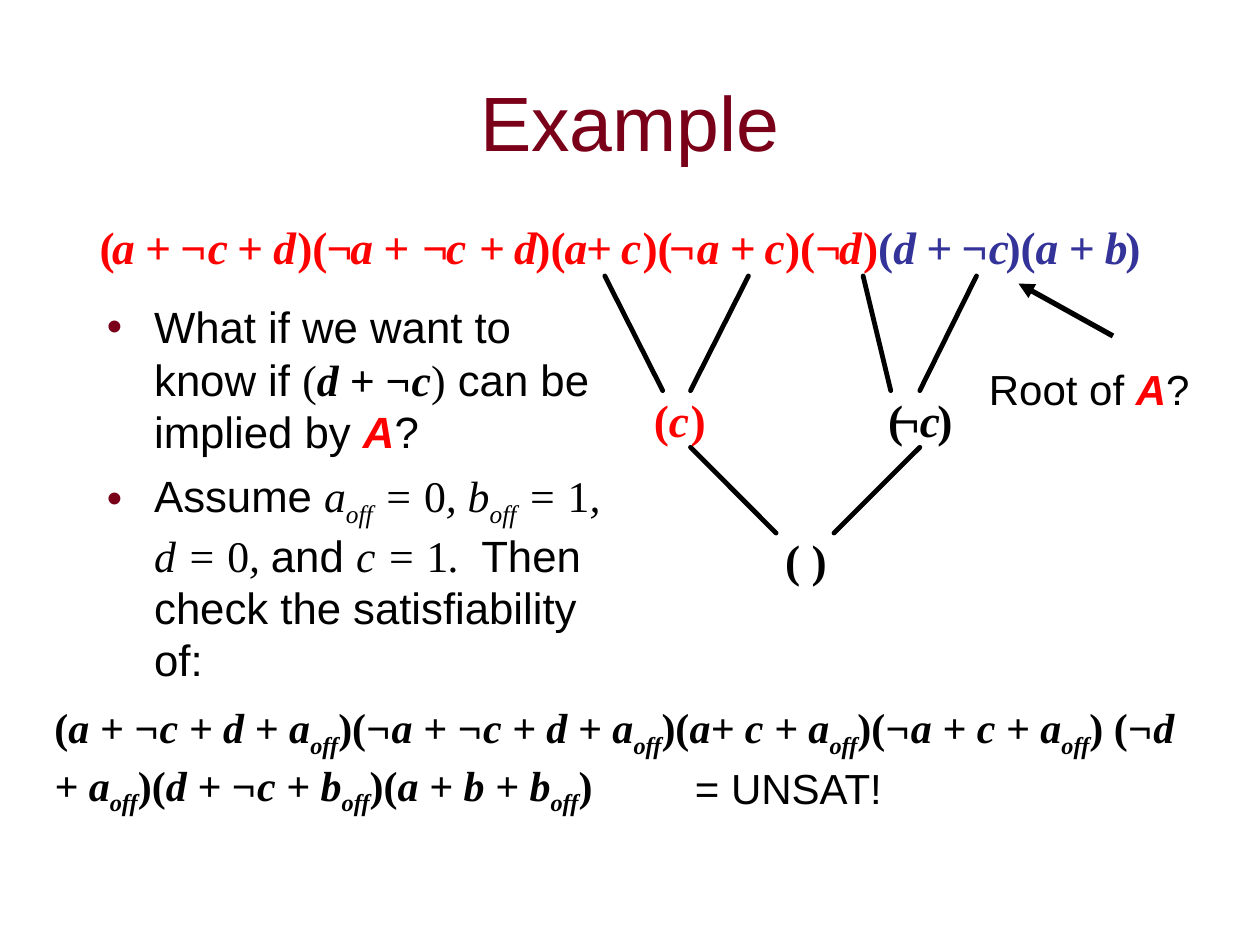
from lxml import etree
from pptx import Presentation
from pptx.dml.color import RGBColor
from pptx.enum.shapes import MSO_CONNECTOR
from pptx.enum.text import MSO_ANCHOR, MSO_AUTO_SIZE, PP_ALIGN
from pptx.oxml.ns import qn
from pptx.util import Pt

STRAIGHT = MSO_CONNECTOR.STRAIGHT
TOP, MIDDLE = MSO_ANCHOR.TOP, MSO_ANCHOR.MIDDLE
LEFT, CENTER = PP_ALIGN.LEFT, PP_ALIGN.CENTER
FIT, NO_FIT = MSO_AUTO_SIZE.SHAPE_TO_FIT_TEXT, MSO_AUTO_SIZE.NONE

COLORS = {"maroon": "7A0019", "black": "000000", "red": "FF0000", "blue": "333399"}
SANS, SERIF = "Arial", "Times New Roman"

SERIF_UP = {"font": SERIF}
VAR = {"font": SERIF, "italic": True}
SUB = {**VAR, "sub": True}
BOLD_VAR = {**VAR, "bold": True}
SET_A = ("A", {"color": "red", "bold": True, "italic": True})

# Widths of the bold serif glyphs in ems, rounded up so that no term wraps
ADVANCE = {"(": 0.35, ")": 0.35, "a": 0.52, "b": 0.52, "c": 0.46, "d": 0.52,
           "+": 0.59, "¬": 0.63, " ": 0.27}
TERM_SIZE = 26

FORMULA_Y, RESOLVENT_Y, EMPTY_Y = 125.3, 223.9, 303.8
RED_TERMS = [
    (56.9, "("), (64.1, "a"), (82.8, "+"), (103, "¬"), (118.8, "c"), (135.4, "+"), (156.2, "d"),
    (169.9, ")("), (186.5, "¬"), (200.2, "a"), (218.9, "+"), (241.2, "¬"), (254.9, "c"),
    (273.6, "+"), (293.8, "d"),
    (306, ")("), (322.6, "a"), (334.8, "+"), (355, "c"),
    (367.2, ")("), (382.3, "¬"), (398.2, "a"), (416.9, "+"), (437, "c"),
    (448.6, ")("), (465.8, "¬"), (479.5, "d"), (493.2, ")"),
]
BLUE_TERMS = [
    (501.8, "("), (510.5, "d"), (529.2, "+"), (549.4, "¬c"),
    (574.6, ")("), (591.8, "a"), (610.6, "+"), (631.4, "b"), (643, ")"),
]
TERM_ROWS = [
    (FORMULA_Y, "red", RED_TERMS),
    (FORMULA_Y, "blue", BLUE_TERMS),
    (RESOLVENT_Y, "red", [(373.7, "("), (382.3, "c"), (394.6, ")")]),
    (RESOLVENT_Y, "black", [(507.5, "("), (510.5, "¬"), (525.6, "c"), (535.7, ")")]),
    (EMPTY_Y, "black", [(448.6, "( )")]),
]

# Lines of the resolution graph: rows of (top, bottom) with (upper x, lower x)
GRAPH = [
    (157.7, 223.2, [(345.6, 378.7), (427.7, 394.6), (493.2, 509), (558, 525.6)]),
    (255.6, 304.6, [(394.6, 443.5), (525.6, 476.6)]),
]

QUESTIONS = [
    [("What if we want to know if ", {}), ("(", SERIF_UP), ("d + ¬c", BOLD_VAR),
     (")", SERIF_UP), (" can be implied by ", {}), SET_A, ("?", {})],
    [("Assume ", {}), ("a", VAR), ("off", SUB), (" = ", VAR), ("0", SERIF_UP),
     (", b", VAR), ("off", SUB), (" = ", VAR), ("1", SERIF_UP), (", d = ", VAR),
     ("0", SERIF_UP), (", ", VAR), ("and ", {}), ("c = ", VAR), ("1", SERIF_UP),
     (".  ", VAR), ("Then check the satisfiability of:", {})],
]
# Each clause ends in a variable that carries the subscript "off"
RELAXED_CLAUSES = [
    ("(", "a + ¬c + d + a"), (")(", "¬a + ¬c + d + a"), (")(", "a+ c + a"),
    (")(", "¬a + c + a"), (") (", "¬d + a"), (")(", "d + ¬c + b"), (")(", "a + b + b"),
]


def add_run(p, text, size, font=SANS, color="black", bold=False, italic=False, sub=False):
    r = p.add_run()
    r.text = text
    r.font.size = Pt(size)
    r.font.name = font
    r.font.bold = bold
    r.font.italic = italic
    r.font.color.rgb = RGBColor.from_string(COLORS[color])
    if sub:
        r.font._element.set("baseline", "-25000")


def add_bullet(p, color):
    pPr = p._p.get_or_add_pPr()
    pPr.set("marL", str(Pt(27)))
    pPr.set("indent", str(Pt(-27)))
    clr = etree.SubElement(pPr, qn("a:buClr"))
    etree.SubElement(clr, qn("a:srgbClr")).set("val", COLORS[color])
    etree.SubElement(pPr, qn("a:buFont")).set("typeface", SANS)
    etree.SubElement(pPr, qn("a:buChar")).set("char", "•")


def add_text(slide, box, paragraphs, size, align=LEFT, anchor=TOP, inset=(7.2, 3.6),
             wrap=True, fit=FIT, bullet=None, space=0, **fmt):
    """Add a text box; each paragraph is a list of (text, format overrides)."""
    tf = slide.shapes.add_textbox(*map(Pt, box)).text_frame
    tf.word_wrap = wrap
    tf.auto_size = fit
    tf.vertical_anchor = anchor
    tf.margin_left = tf.margin_right = Pt(inset[0])
    tf.margin_top = tf.margin_bottom = Pt(inset[1])
    for i, runs in enumerate(paragraphs):
        p = tf.add_paragraph() if i else tf.paragraphs[0]
        if bullet:
            add_bullet(p, bullet)
        p.alignment = align
        if i:
            p.space_before = Pt(space)
        for text, extra in runs:
            add_run(p, text, size, **{**fmt, **extra})


def add_term(slide, x, y, text, color):
    """Set one piece of a formula; brackets stay upright."""
    width = TERM_SIZE * sum(ADVANCE[ch] for ch in text)
    add_text(slide, (x, y, width, 31), [[(text, {})]], TERM_SIZE, inset=(0, 0), wrap=False,
             font=SERIF, bold=True, italic=text[0] not in "()", color=color)


def add_line(slide, start, end, width, arrow=False):
    c = slide.shapes.add_connector(STRAIGHT, *map(Pt, start + end))
    c.line.color.rgb = RGBColor.from_string(COLORS["black"])
    c.line.width = Pt(width)
    ln = c.line._get_or_add_ln()
    if arrow:
        etree.SubElement(ln, qn("a:tailEnd")).set("type", "triangle")
    else:
        ln.set("cap", "rnd")
    etree.SubElement(c._element.spPr, qn("a:effectLst"))


def relaxed_formula():
    runs = []
    for opening, clause in RELAXED_CLAUSES:
        runs += [(opening, {}), (clause, {"italic": True}), ("off", {"italic": True, "sub": True})]
    return runs + [(")", {})]


def main():
    prs = Presentation()
    prs.slide_width, prs.slide_height = Pt(720), Pt(540)
    slide = prs.slides.add_slide(prs.slide_layouts[6])

    add_text(slide, (54, 24, 612, 90), [[("Example", {})]], 44, align=CENTER,
             anchor=MIDDLE, fit=NO_FIT, color="maroon")
    add_text(slide, (54, 168, 300, 312), QUESTIONS, 25, fit=NO_FIT, bullet="maroon",
             space=6.2)
    add_text(slide, (24, 397.5, 660, 73), [relaxed_formula()], 24, font=SERIF, bold=True)
    add_line(slide, (636, 192), (582, 162), 3, arrow=True)
    add_text(slide, (558, 204, 144, 36), [[("Root of ", {}), SET_A, ("?", {})]], 24)

    for y, color, terms in TERM_ROWS:
        for x, text in terms:
            add_term(slide, x, y, text, color)
    for top, bottom, lines in GRAPH:
        for upper, lower in lines:
            add_line(slide, (upper, top), (lower, bottom), 2.75)

    add_text(slide, (390, 432, 132, 36), [[("= UNSAT!", {})]], 24)
    prs.save("out.pptx")


if __name__ == "__main__":
    main()
